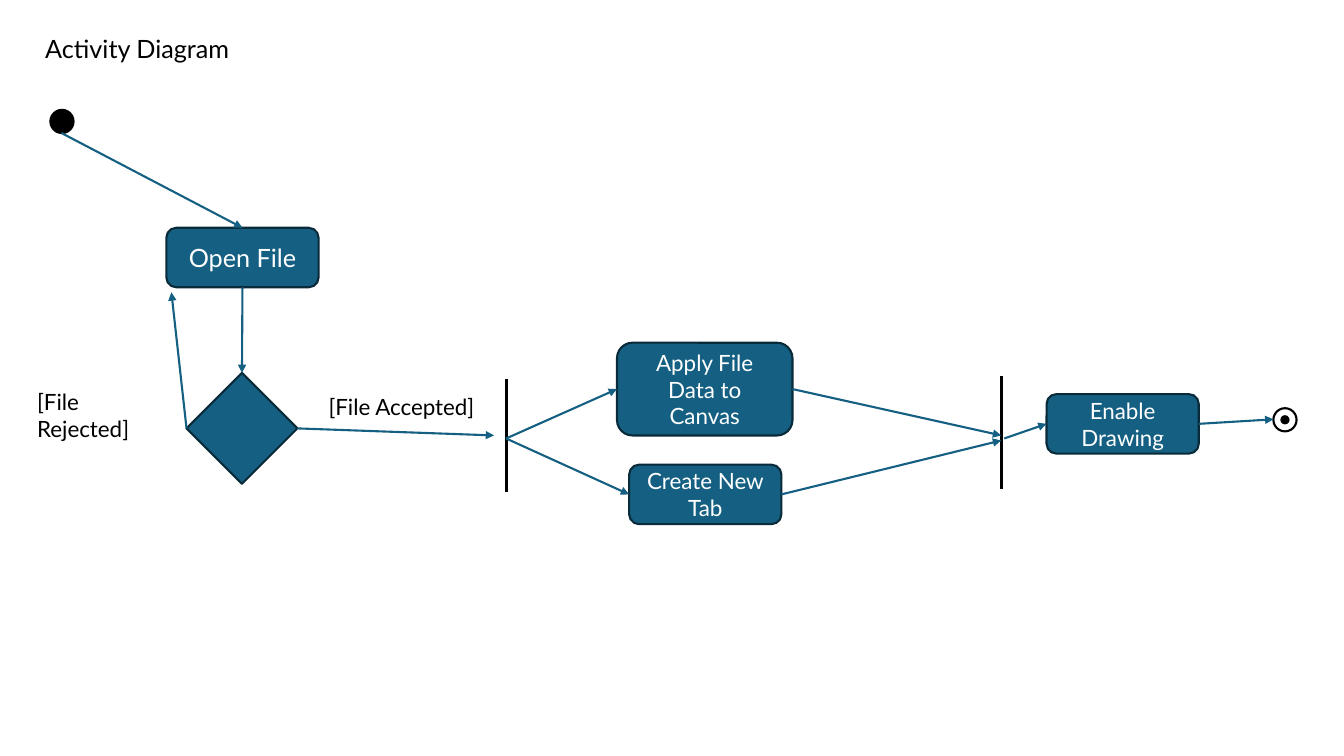
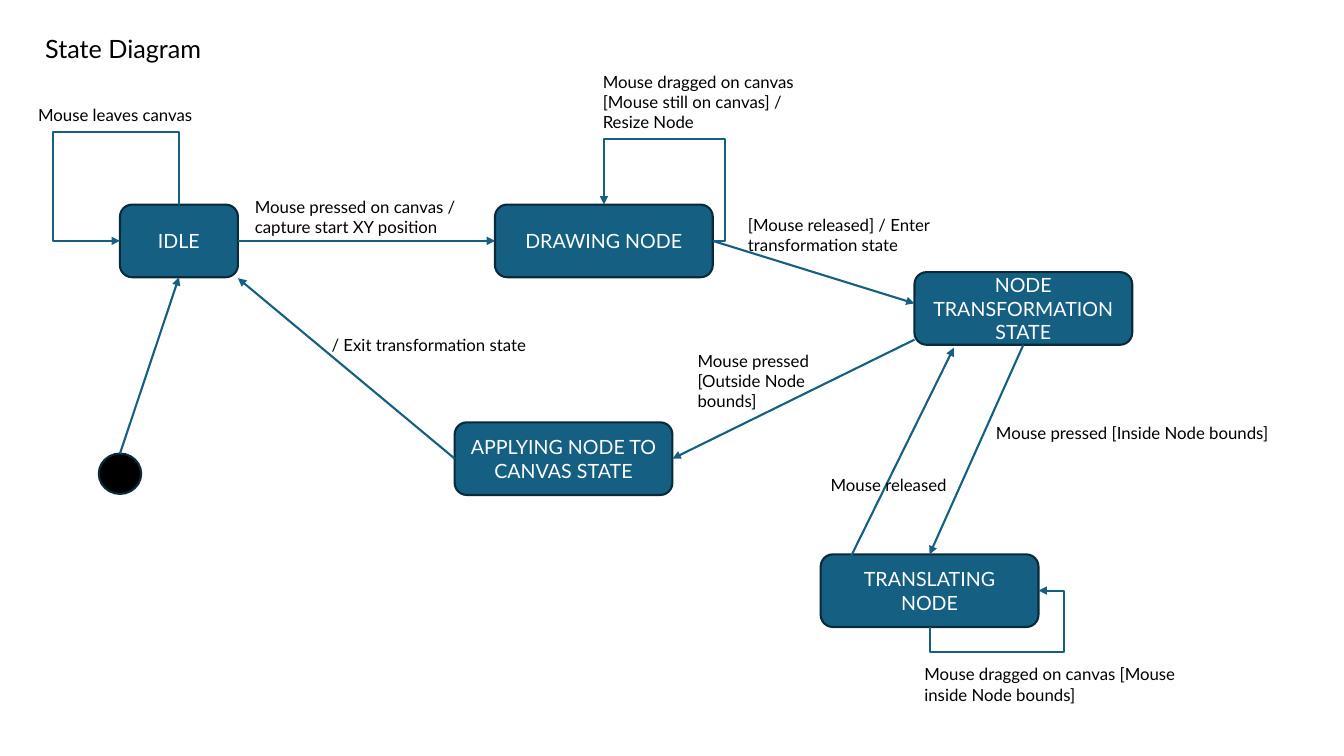
from dataclasses import dataclass

from lxml import etree
from pptx import Presentation
from pptx import util as u
from pptx.dml.color import RGBColor
from pptx.enum import shapes, text
from pptx.oxml.ns import qn

EMU_PER_PX = 9144
TOP, LEFT, BOTTOM, RIGHT = range(4)
BOX = shapes.MSO_SHAPE.ROUNDED_RECTANGLE
DIAMOND = shapes.MSO_SHAPE.DIAMOND
DOT = shapes.MSO_SHAPE.OVAL


@dataclass(frozen=True)
class Theme:
    font: str = "Lato"
    black: str = "000000"
    white: str = "FFFFFF"
    accent: str = "156082"
    outline: str = "092A39"
    title: int = 18
    activity: int = 16
    state: int = 14
    note: int = 12
    stroke: float = 1.5
    bar: int = 2


THEME = Theme()


def px(length):
    return u.Emu(round(length * EMU_PER_PX))


def color(value):
    return RGBColor.from_string(value)


def set_line(line, value, width):
    line.color.rgb = color(value)
    line.width = u.Pt(width)


def write(frame, words, size, value, align):
    frame.word_wrap = True
    frame.text = words
    para = frame.paragraphs[0]
    para.alignment = align
    for span in para.runs:
        span.font.name = THEME.font
        span.font.size = u.Pt(size)
        span.font.color.rgb = color(value)


def add_label(page, words, left, top, width, height, size):
    label = page.shapes.add_textbox(px(left), px(top), px(width), px(height))
    label.text_frame.auto_size = text.MSO_AUTO_SIZE.SHAPE_TO_FIT_TEXT
    write(label.text_frame, words, size, THEME.black, text.PP_ALIGN.LEFT)


def add_node(page, kind, left, top, width, height, fill=THEME.accent, outline=THEME.outline):
    node = page.shapes.add_shape(kind, px(left), px(top), px(width), px(height))
    node.shadow.inherit = False
    node.fill.solid()
    node.fill.fore_color.rgb = color(fill)
    set_line(node.line, outline, THEME.stroke)
    return node


def add_box(page, words, left, top, width, height, size):
    box = add_node(page, BOX, left, top, width, height)
    box.text_frame.vertical_anchor = text.MSO_ANCHOR.MIDDLE
    write(box.text_frame, words, size, THEME.white, text.PP_ALIGN.CENTER)
    return box


def add_activity(page, words, left, top, width=151, height=59, size=THEME.activity):
    return add_box(page, words, left, top, width, height, size)


def add_state(page, words, left, top, width=216):
    return add_box(page, words, left, top, width, 72, THEME.state)


def add_line(page, start, end, value, width, kind=shapes.MSO_CONNECTOR.STRAIGHT):
    points = [end_point if isinstance(end_point[0], int) else (0, 0) for end_point in (start, end)]
    line = page.shapes.add_connector(kind, *(px(value) for point in points for value in point))
    for anchor, connect in ((start, line.begin_connect), (end, line.end_connect)):
        if not isinstance(anchor[0], int):
            connect(*anchor)
    set_line(line.line, value, width)
    etree.SubElement(line._element.spPr, qn("a:effectLst"))
    return line


def add_arrow(page, start, end, kind=shapes.MSO_CONNECTOR.STRAIGHT):
    arrow = add_line(page, start, end, THEME.accent, THEME.stroke, kind)
    etree.SubElement(arrow.line._get_or_add_ln(), qn("a:tailEnd"), type="triangle")
    return arrow


def add_loop(page, node, start_site, end_site, reach, beyond, turn):
    loop = add_arrow(page, (node, start_site), (node, end_site), shapes.MSO_CONNECTOR.ELBOW)
    center_x = (loop.begin_x + loop.end_x) // 2
    center_y = (loop.begin_y + loop.end_y) // 2
    width, height = loop.width, loop.height
    if turn % 180:
        width, height = height, width
    loop.left, loop.top = center_x - width // 2, center_y - height // 2
    loop.width, loop.height = width, height
    frame = loop._element.spPr.find(qn("a:xfrm"))
    for name, value in (("rot", turn * 60000), ("flipH", 1), ("flipV", 1)):
        frame.set(name, str(value))
    outline = loop._element.spPr.find(qn("a:prstGeom"))
    outline.set("prst", "bentConnector4")
    guides = outline.find(qn("a:avLst"))
    if guides is None:
        guides = etree.SubElement(outline, qn("a:avLst"))
    ratios = (-px(reach) / width, 1 + px(beyond) / height)
    for number, ratio in enumerate(ratios, 1):
        etree.SubElement(guides, qn("a:gd"), name=f"adj{number}", fmla=f"val {round(ratio * 100000)}")


def add_page(deck, title):
    page = deck.slides.add_slide(deck.slide_layouts[6])
    add_label(page, title, 35, 28, 381, 40, THEME.title)
    return page


def build_activity(deck):
    page = add_page(deck, "Activity Diagram")
    add_node(page, DOT, 50, 109, 23, 23, THEME.black, THEME.black)
    open_file = add_activity(page, "Open File", 165, 226, size=THEME.title)
    decision = add_node(page, DIAMOND, 185, 370, 110, 110)
    apply_data = add_activity(page, "Apply File Data to Canvas", 612, 340, 174, 92)
    create_tab = add_activity(page, "Create New Tab", 624, 461)
    enable = add_activity(page, "Enable Drawing", 1038, 391)
    add_node(page, DOT, 1263, 405, 23, 23, THEME.white, THEME.black)
    add_node(page, DOT, 1271, 413, 7, 7, THEME.black, THEME.black)
    for x, top in ((502, 376), (993, 373)):
        add_line(page, (x, top), (x, top + 112), THEME.black, THEME.bar)
    for words, left, top, width in (
        ("[File Accepted]", 316, 385, 175),
        ("[File Rejected]", 27, 380, 158),
    ):
        add_label(page, words, left, top, width, 37, THEME.activity)
    for start, end in (
        ((61, 132), (open_file, TOP)),
        ((open_file, BOTTOM), (decision, TOP)),
        ((decision, LEFT), (170, 290)),
        ((decision, RIGHT), (490, 432)),
        ((502, 435), (apply_data, LEFT)),
        ((502, 435), (create_tab, LEFT)),
        ((apply_data, RIGHT), (993, 432)),
        ((create_tab, RIGHT), (993, 437)),
        ((996, 435), (enable, LEFT)),
        ((enable, RIGHT), (1263, 416)),
    ):
        add_arrow(page, start, end)


def build_states(deck):
    page = add_page(deck, "State Diagram")
    add_node(page, DOT, 98, 450, 42, 40, THEME.black)
    idle = add_state(page, "IDLE", 119, 203, 117)
    drawing = add_state(page, "DRAWING NODE", 491, 203)
    transforming = add_state(page, "NODE TRANSFORMATION STATE", 907, 270)
    translating = add_state(page, "TRANSLATING NODE", 814, 550)
    applying = add_state(page, "APPLYING NODE TO CANVAS STATE", 451, 419)
    for start, end in (
        ((119, 450), (idle, BOTTOM)),
        ((idle, RIGHT), (drawing, LEFT)),
        ((drawing, RIGHT), (907, 301)),
        ((transforming, BOTTOM), (translating, TOP)),
        ((843, 554), (946, 345)),
        ((907, 337), (applying, RIGHT)),
        ((applying, LEFT), (236, 276)),
    ):
        add_arrow(page, start, end)
    add_loop(page, idle, TOP, LEFT, 72, 66, 270)
    add_loop(page, drawing, RIGHT, TOP, 12, 65, 0)
    add_loop(page, translating, BOTTOM, RIGHT, 25, 25, 90)
    for words, left, top, width, height in (
        ("Mouse leaves canvas", 28, 99, 215, 30),
        ("Mouse pressed on canvas / capture start XY position", 243, 190, 220, 50),
        ("Mouse dragged on canvas [Mouse still on canvas] / Resize Node", 588, 66, 215, 71),
        ("[Mouse released] / Enter transformation state", 732, 208, 255, 50),
        ("Mouse pressed [Inside Node bounds]", 978, 414, 304, 30),
        ("Mouse dragged on canvas [Mouse inside Node bounds]", 907, 654, 304, 50),
        ("/ Exit transformation state", 319, 327, 255, 30),
        ("Mouse released", 814, 466, 135, 30),
        ("Mouse pressed [Outside Node bounds]", 682, 343, 135, 71),
    ):
        add_label(page, words, left, top, width, height, THEME.note)


def main():
    deck = Presentation()
    deck.slide_width, deck.slide_height = px(1333), px(750)
    build_activity(deck)
    build_states(deck)
    deck.save("out.pptx")


if __name__ == "__main__":
    main()
